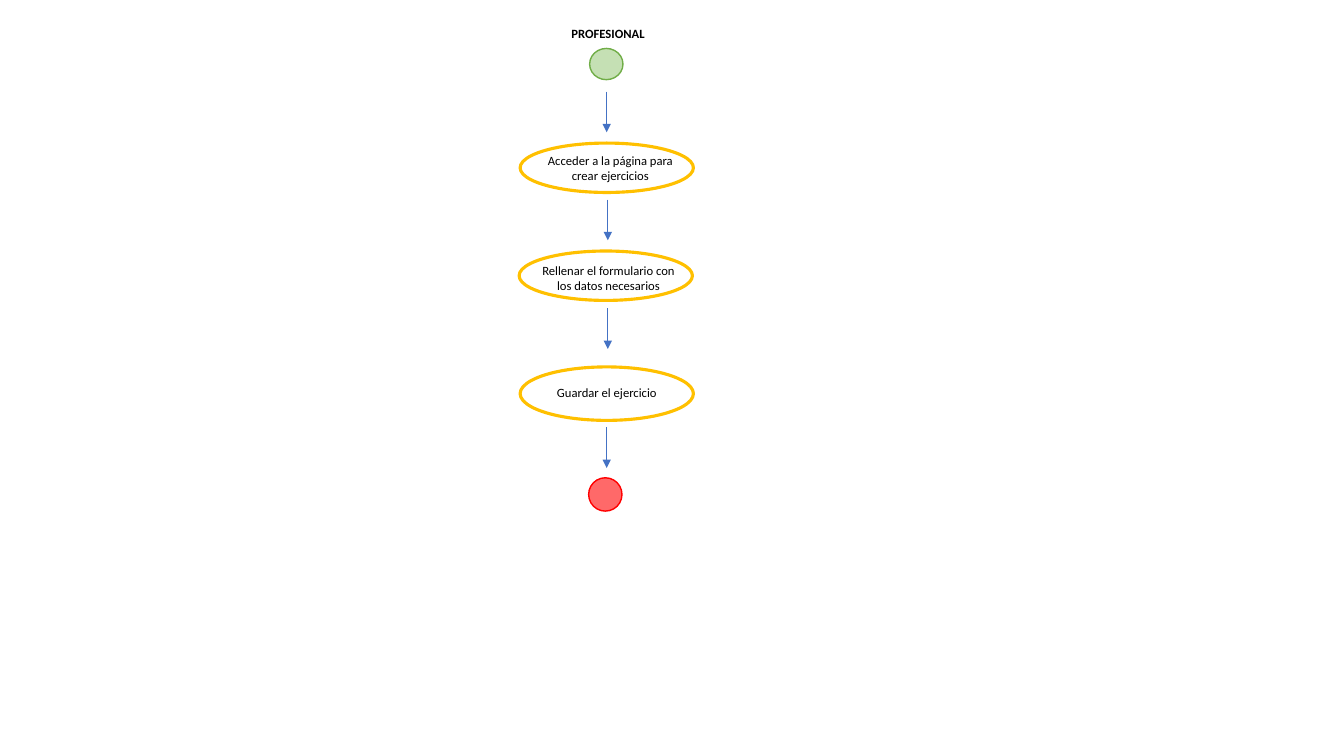
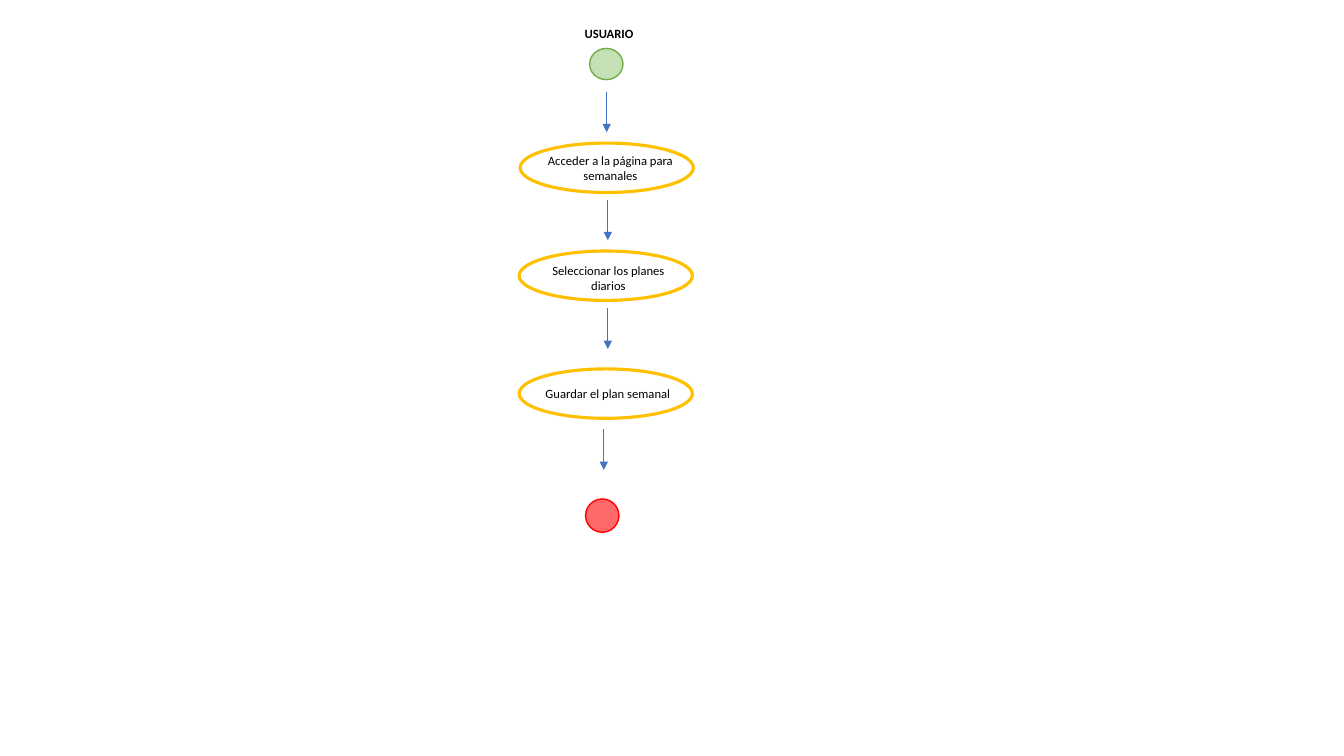
import dataclasses

import lxml.etree
import pptx
import pptx.dml.color
import pptx.enum.shapes
import pptx.enum.text
import pptx.oxml.ns
import pptx.util

Pt = pptx.util.Pt
ALIGN = pptx.enum.text.PP_ALIGN


@dataclasses.dataclass(frozen=True)
class Theme:
    """Colours, type and line widths shared by the slides."""
    font: str = "Calibri"
    size: float = 9
    text: str = "000000"
    step: str = "FFC000"
    arrow: str = "4472C4"
    start_fill: str = "C5E0B4"
    start_line: str = "70AD47"
    end_fill: str = "FF6969"
    end_line: str = "FF0000"
    step_width: float = 2.25
    dot_width: float = 1
    arrow_width: float = 0.5


@dataclasses.dataclass(frozen=True)
class Box:
    """A rectangle in points."""
    left: float
    top: float
    width: float
    height: float

    def inner(self, left, top, width, height):
        """Return a box placed relative to this one."""
        return Box(self.left + left, self.top + top, width, height)

    def lengths(self):
        """Return left, top, width and height as lengths."""
        return [Pt(value) for value in (self.left, self.top, self.width, self.height)]


@dataclasses.dataclass(frozen=True)
class Step:
    """One activity: its caption, outline and caption area within the lane."""
    caption: str
    oval: tuple
    area: tuple


THEME = Theme()
LANE = Box(370.8, 14.4, 124.6, 366)
OVAL = (123.8, 35.3)
CAPTION = (115.9, 28.8)
ONE_LINE = (123.8, 18)
DOT = (23.8, 23.8)
ARROW_LENGTH = 29


def rgb(value):
    """Turn a hexadecimal string into a colour."""
    return pptx.dml.color.RGBColor.from_string(value)


def write_text(shape, text, align, bold=False):
    """Fill a shape with one paragraph in the theme type."""
    frame = shape.text_frame
    frame.word_wrap = True
    frame.vertical_anchor = pptx.enum.text.MSO_ANCHOR.TOP
    frame.text = text
    para = frame.paragraphs[0]
    para.alignment = align
    para.line_spacing = 1.0
    para.space_before = Pt(0)
    font = para.runs[0].font
    font.name, font.size, font.bold = THEME.font, Pt(THEME.size), bold
    font.color.rgb = rgb(THEME.text)


def add_oval(page, box, line, width, fill=None):
    """Draw an ellipse, hollow unless a fill is given."""
    oval = page.shapes.add_shape(pptx.enum.shapes.MSO_SHAPE.OVAL, *box.lengths())
    oval.shadow.inherit = False
    oval.line.color.rgb = rgb(line)
    oval.line.width = Pt(width)
    if fill:
        oval.fill.solid()
        oval.fill.fore_color.rgb = rgb(fill)
    else:
        oval.fill.background()


def add_arrow(page, box):
    """Draw a downward arrow along the left edge of a box."""
    left, top = Pt(box.left), Pt(box.top)
    arrow = page.shapes.add_connector(
        pptx.enum.shapes.MSO_CONNECTOR.STRAIGHT, left, top, left, Pt(box.top + box.height))
    arrow.line.color.rgb = rgb(THEME.arrow)
    arrow.line.width = Pt(THEME.arrow_width)
    name = pptx.oxml.ns.qn
    properties = arrow._element.spPr
    outline = properties.find(name("a:ln"))
    lxml.etree.SubElement(outline, name("a:tailEnd"), type="triangle")
    lxml.etree.SubElement(properties, name("a:effectLst"))


def add_step(page, lane, step):
    """Draw an activity outline with its caption."""
    add_oval(page, lane.inner(*step.oval), THEME.step, THEME.step_width)
    caption = page.shapes.add_textbox(*lane.inner(*step.area).lengths())
    write_text(caption, step.caption, ALIGN.CENTER)


def add_role(page, box, role):
    """Place the role name in the title placeholder."""
    title = page.shapes.title
    title.left, title.top, title.width, title.height = box.lengths()
    write_text(title, role, ALIGN.LEFT, bold=True)


def add_flow(deck, lane, role, role_at, captions, last_oval, last_area, last_arrow, end_at):
    """Build one activity diagram slide inside a lane."""
    page = deck.slides.add_slide(deck.slide_layouts[5])
    add_role(page, lane.inner(*role_at, 88.6, 18), role)
    add_oval(page, lane.inner(50.4, 20.2, 23.8, 22.3),
             THEME.start_line, THEME.dot_width, THEME.start_fill)
    places = (
        ((0.7, 87.8, *OVAL), (7.2, 91.4, *CAPTION)),
        ((0, 164.9, *OVAL), (5.8, 169.9, *CAPTION)),
        (last_oval, last_area),
    )
    for caption, (oval, area) in zip(captions, places):
        add_step(page, lane, Step(caption, oval, area))
    for left, top in ((62.6, 51.1), (63.4, 128.2), (63.4, 205.9), last_arrow):
        add_arrow(page, lane.inner(left, top, 0, ARROW_LENGTH))
    add_oval(page, lane.inner(*end_at, *DOT), THEME.end_line, THEME.dot_width, THEME.end_fill)


def main():
    """Build and save the deck."""
    deck = pptx.Presentation()
    deck.slide_width, deck.slide_height = Pt(960), Pt(540)
    add_flow(
        deck, LANE, "PROFESIONAL", (30.2, 0.7),
        ("Acceder a la página para crear ejercicios",
         "Rellenar el formulario con los datos necesarios",
         "Guardar el ejercicio"),
        last_oval=(0.7, 247.7, 123.8, 38.2), last_area=(0.7, 257, *ONE_LINE),
        last_arrow=(62.6, 290.9), end_at=(49.7, 326.9))
    add_flow(
        deck, LANE, "USUARIO", (39.6, 0.4),
        ("Acceder a la página para semanales",
         "Seleccionar los planes diarios",
         "Guardar el plan semanal"),
        last_oval=(0, 249.1, *OVAL), last_area=(1.4, 257.8, *ONE_LINE),
        last_arrow=(60.5, 292.3), end_at=(47.5, 342))
    deck.save("out.pptx")


main()
